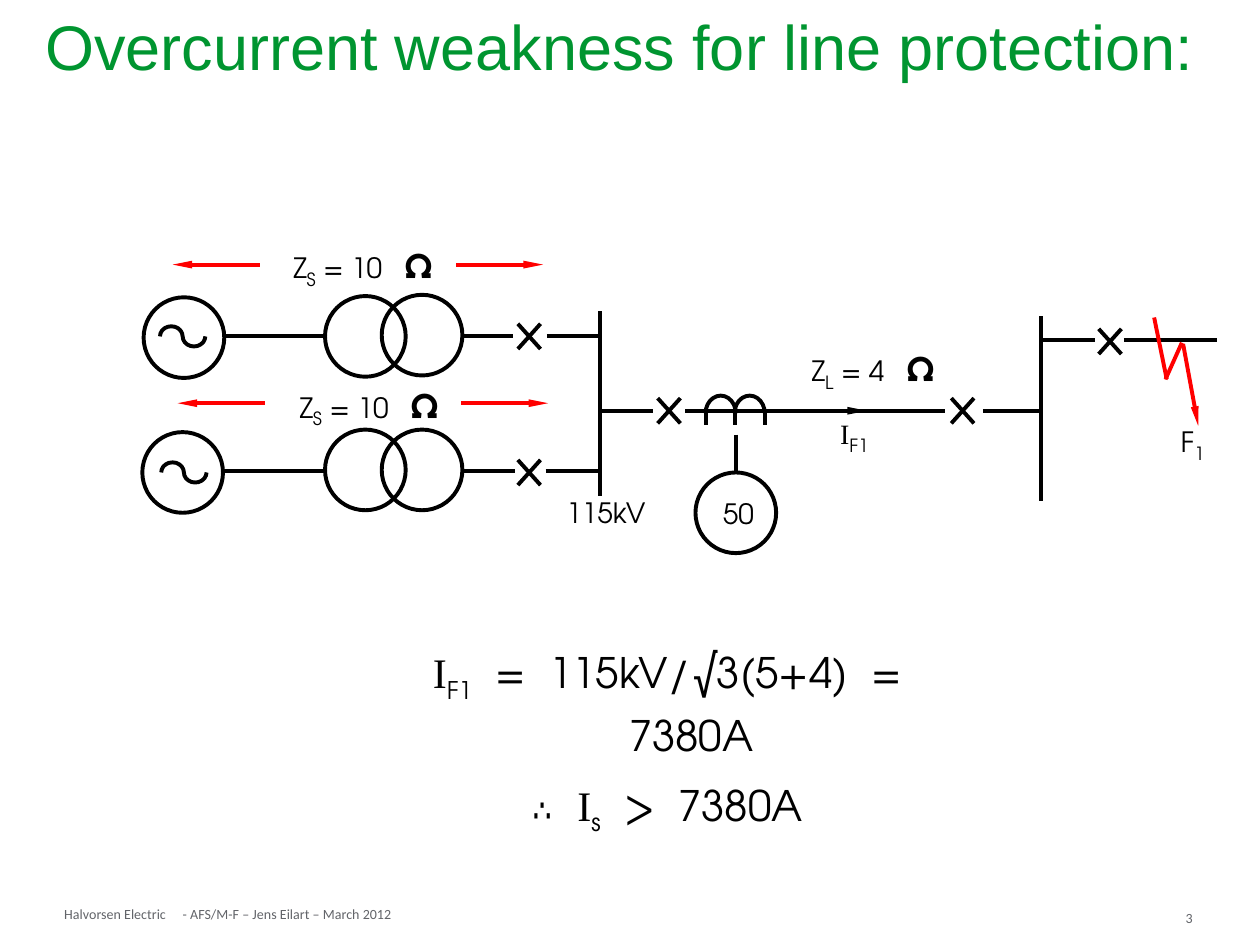
import math

import lxml.etree
import pptx
import pptx.dml.color
import pptx.enum.shapes
import pptx.enum.text
import pptx.oxml.ns
import pptx.util

PX = 9144  # EMU per px, 100 px to the inch
BLACK = pptx.dml.color.RGBColor(0x00, 0x00, 0x00)
RED = pptx.dml.color.RGBColor(0xFF, 0x00, 0x00)
GREEN = pptx.dml.color.RGBColor(0x00, 0x95, 0x30)
GREY = pptx.dml.color.RGBColor(0x62, 0x64, 0x69)
SANS, SERIF = "TeX Gyre Adventor", "Times New Roman"
WEIGHT = pptx.util.Pt(2.25)
SHAPE = pptx.enum.shapes.MSO_SHAPE
ALIGN = pptx.enum.text.PP_ALIGN
qn = pptx.oxml.ns.qn

prs = pptx.Presentation()
prs.slide_width, prs.slide_height = 1000 * PX, 750 * PX
s = prs.slides.add_slide(prs.slide_layouts[6])


def text(box, paragraphs, color=BLACK, align=ALIGN.CENTER, gap=0, inset=0, wrap=True):
    """Add a text box; runs are (text, size, font, subscript), and a lone space is widened by gap ems."""
    tf = s.shapes.add_textbox(*[v * PX for v in box]).text_frame
    tf.word_wrap = wrap
    tf.margin_left = tf.margin_right = inset * PX
    tf.margin_top = tf.margin_bottom = inset // 2 * PX
    for i, runs in enumerate(paragraphs):
        p = tf.add_paragraph() if i else tf.paragraphs[0]
        p.alignment = align
        p.font.color.rgb = color
        for words, size, font, sub in runs:
            r = p.add_run()
            r.text = words
            r.font.size = pptx.util.Pt(size)
            r.font.name = font
            r.font.bold = words == "Ω"
            r.font.color.rgb = color
            rPr = r._r.get_or_add_rPr()
            if sub:
                rPr.set("baseline", "-25000")
            if words == " ":
                rPr.set("spc", str(round(gap * size * 100)))
    return tf


def line(x1, y1, x2, y2, color=BLACK, arrow=False):
    c = s.shapes.add_connector(pptx.enum.shapes.MSO_CONNECTOR.STRAIGHT,
                               x1 * PX, y1 * PX, x2 * PX, y2 * PX)
    c.line.color.rgb = color
    c.line.width = WEIGHT
    if arrow:
        lxml.etree.SubElement(c.line._get_or_add_ln(), qn("a:tailEnd"),
                              type="triangle", w="sm", len="lg")
    lxml.etree.SubElement(c._element.spPr, qn("a:effectLst"))


# Footer and title
for box, words in [((51, 719, 88, 13), "Halvorsen Electric"),
                   ((941, 722, 32, 8), "3"),
                   ((145, 719, 175, 13), "- AFS/M-F – Jens Eilart – March 2012")]:
    text(box, [[(words, 8, "Calibri", False)]], GREY, ALIGN.LEFT, wrap=words == "3")
tf = text((26, 8, 944, 64),
          [[("Overcurrent weakness for line protection:", 36, "Arial", False)]],
          GREEN, ALIGN.LEFT, inset=10)
tf.vertical_anchor = pptx.enum.text.MSO_ANCHOR.MIDDLE
tf.paragraphs[0].line_spacing = 0.9

# Busbars, feeders and relay lead
for ends in [(178, 267, 258, 267), (368, 267, 407, 267), (434, 267, 476, 267),
             (178, 374, 259, 374), (368, 374, 409, 374), (433, 374, 476, 374),
             (476, 247, 476, 394), (476, 326, 518, 326), (544, 326, 750, 326),
             (780, 326, 825, 326), (826, 251, 826, 398), (826, 270, 869, 270),
             (892, 270, 966, 270), (584, 345, 584, 376)]:
    line(*ends)

# Circuit breakers
for x, y in [(411, 257), (411, 365), (522, 316), (755, 316), (872, 261)]:
    line(x, y, x + 18, y + 20)
    line(x + 18, y, x, y + 20)

# Impedance spans, fault current and fault
for x, y in [(137, 210), (141, 320)]:
    line(x + 69, y, x, y, RED, True)
    line(x + 225, y, x + 294, y, RED, True)
line(659, 326, 688, 326, arrow=True)
line(925, 301, 938, 272, RED)
line(916, 252, 926, 301, RED)
line(939, 273, 951, 338, RED, True)

# Generators, transformers and relay
for x, y in [(113, 343), (114, 236), (258, 235), (303, 234),
             (258, 341), (303, 341), (552, 375)]:
    sp = s.shapes.add_shape(SHAPE.OVAL, x * PX, y * PX, 64 * PX, 64 * PX)
    sp.shadow.inherit = False
    sp.fill.background()
    sp.line.color.rgb = BLACK
    sp.line.width = WEIGHT

# Sine wave in each generator: upper half circle, then lower half circle
for x, y in [(128, 375), (127, 267)]:
    angles = [math.pi * i / 10 for i in range(11)]
    points = [(x + 18 * half + 9 * (1 - math.cos(a)),
               y + (8 if half else -8) * math.sin(a))
              for half in (0, 1) for a in angles]
    points = [(px * PX, py * PX) for px, py in points]
    builder = s.shapes.build_freeform(*points[0])
    builder.add_line_segments(points[1:], close=False)
    sp = builder.convert_to_shape()
    sp.shadow.inherit = False
    sp.fill.background()
    sp.line.color.rgb = BLACK
    sp.line.width = WEIGHT

# Current transformer: two half circles on three legs
for x in (560, 583):
    sp = s.shapes.add_shape(SHAPE.ARC, x * PX, 314 * PX, 24 * PX, 28 * PX)
    sp.adjustments[0] = 108  # 180 degrees, in units of 100000/60000 degree
    sp.adjustments[1] = 0
    sp.shadow.inherit = False
    sp.fill.background()
    sp.line.color.rgb = BLACK
    sp.line.width = WEIGHT
for x in (560, 583, 607):
    line(x, 327, x, 337)

# Labels
for x, y, sub, value in [(225, 193, "S", "10"), (230, 304, "S", "10"), (630, 275, "L", "4")]:
    text((x, y, 126, 37),
         [[("Z", 16, SANS, False), (sub, 18, SANS, True), (f" = {value}", 16, SANS, False),
           (" ", 16, SANS, False), ("Ω", 20, SANS, False)]], gap=0.55)
text((923, 334, 47, 56), [[("F", 16, SANS, False), ("1", 18, SANS, True)]])
text((654, 328, 48, 56), [[("I", 16, SERIF, False), ("F1", 18, SANS, True)]])
text((431, 393, 100, 43), [[("115kV", 16, SANS, False)]])
text((572, 394, 28, 25), [[("50", 16, SANS, False)]])

# Fault current and setting
space = (" ", 24, SANS, False)
fault = [("I", 24, SERIF, False), ("F1", 24, SANS, True)]
for word in ("=", "115kV/√3(5+4)", "=", "7380A"):
    fault += [space, (word, 24, SANS, False)]
setting = [("∴", 24, SANS, False), space, ("I", 24, SERIF, False), ("s", 24, SANS, True)]
for word in (">", "7380A"):
    setting += [space, (word, 24, SANS, False)]
tf = text((282, 504, 495, 133), [fault, setting], gap=0.28, inset=10)
for p in tf.paragraphs:
    p.line_spacing = 1.1
    pPr = p._p.get_or_add_pPr()
    pPr.set("marL", str(38 * PX))
    pPr.set("indent", str(-38 * PX))
tf.paragraphs[1].space_before = pptx.util.Pt(8)

prs.save("out.pptx")
